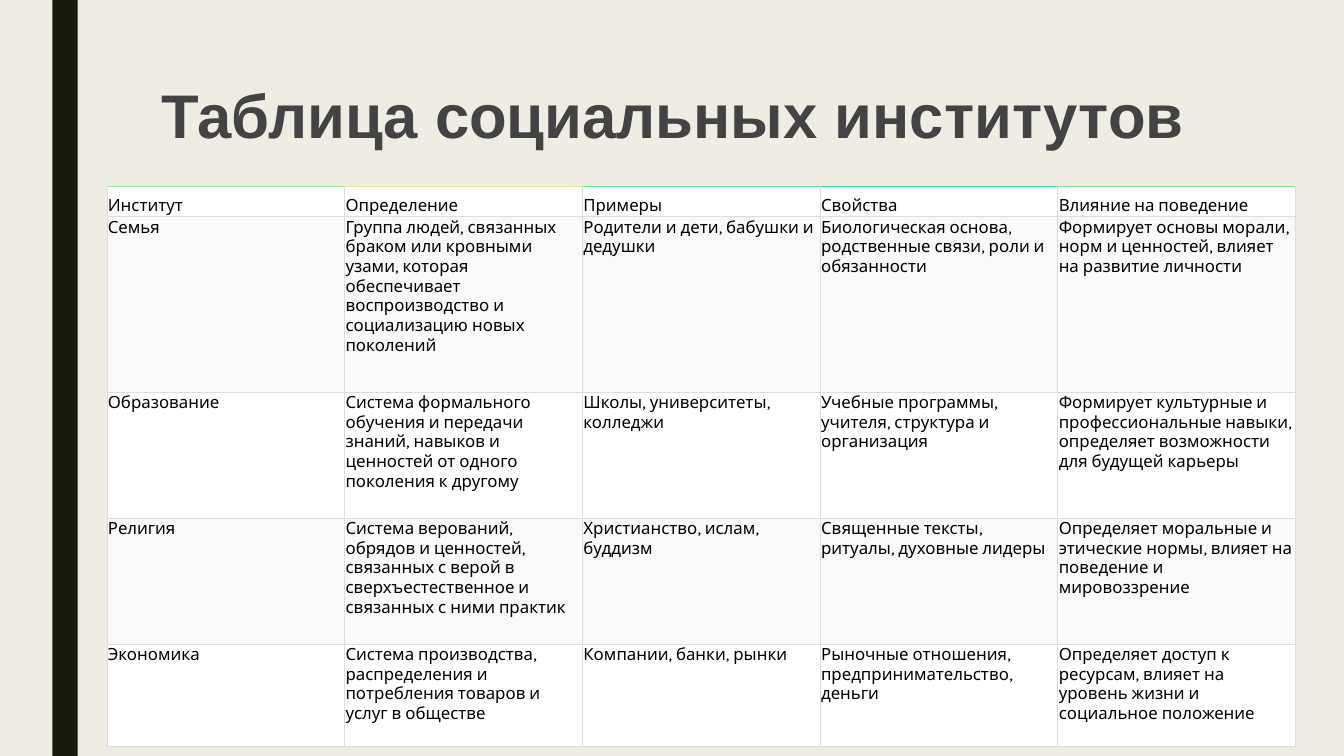
from lxml import etree
from pptx import Presentation
from pptx.dml.color import RGBColor
from pptx.enum.shapes import MSO_SHAPE
from pptx.enum.text import MSO_ANCHOR, MSO_AUTO_SIZE, PP_ALIGN
from pptx.oxml.ns import qn
from pptx.util import Inches, Pt

RECTANGLE = MSO_SHAPE.RECTANGLE
TOP, BOTTOM = MSO_ANCHOR.TOP, MSO_ANCHOR.BOTTOM
NO_AUTOFIT = MSO_AUTO_SIZE.NONE
LEFT = PP_ALIGN.LEFT
TITLE_ONLY_LAYOUT = 5

BACKGROUND, STRIPE, TITLE_COLOR = "EFEDE3", "191B0E", "434343"
TEXT_COLOR, GRID_COLOR = "000000", "DDDDDD"
ROW_FILLS = ("FFFFFF", "F9F9F9")
HEADER_TOP_COLORS = ("A0E29B", "E0E69B", "60E79B", "20E59B", "80E79B")

COLUMN_WIDTH = 11.79 / 5
ROW_HEIGHTS = (0.3, 1.74, 1.25, 1.25, 1.01)
CELL_MARGIN = 0.01

INSTITUTIONS = (
    ("Институт", "Определение", "Примеры", "Свойства", "Влияние на поведение"),
    ("Семья",
     "Группа людей, связанных браком или кровными узами, которая обеспечивает "
     "воспроизводство и социализацию новых поколений",
     "Родители и дети, бабушки и дедушки",
     "Биологическая основа, родственные связи, роли и обязанности",
     "Формирует основы морали, норм и ценностей, влияет на развитие личности"),
    ("Образование",
     "Система формального обучения и передачи знаний, навыков и ценностей "
     "от одного поколения к другому",
     "Школы, университеты, колледжи",
     "Учебные программы, учителя, структура и организация",
     "Формирует культурные и профессиональные навыки, определяет возможности "
     "для будущей карьеры"),
    ("Религия",
     "Система верований, обрядов и ценностей, связанных с верой "
     "в сверхъестественное и связанных с ними практик",
     "Христианство, ислам, буддизм",
     "Священные тексты, ритуалы, духовные лидеры",
     "Определяет моральные и этические нормы, влияет на поведение и мировоззрение"),
    ("Экономика",
     "Система производства, распределения и потребления товаров и услуг в обществе",
     "Компании, банки, рынки",
     "Рыночные отношения, предпринимательство, деньги",
     "Определяет доступ к ресурсам, влияет на уровень жизни и социальное положение"),
)


def set_fill(fill, color):
    fill.solid()
    fill.fore_color.rgb = RGBColor.from_string(color)


def set_font(font, name, size, color, bold=False):
    font.name = name
    font.size = Pt(size)
    font.bold = bold
    font.color.rgb = RGBColor.from_string(color)


def add_stripe(slide):
    stripe = slide.shapes.add_shape(
        RECTANGLE, Inches(0.52), 0, Inches(0.25), Inches(7.5))
    stripe.shadow.inherit = False
    set_fill(stripe.fill, STRIPE)
    stripe.line.fill.background()


def format_title(slide, text):
    title = slide.shapes.title
    title.left, title.top = Inches(1.5), Inches(0.75)
    title.width, title.height = Inches(10.5), Inches(1.62)
    frame = title.text_frame
    frame.text = text
    frame.word_wrap = True
    frame.auto_size = NO_AUTOFIT
    frame.vertical_anchor = TOP
    frame.margin_top = Inches(0.1)
    paragraph = frame.paragraphs[0]
    paragraph.alignment = LEFT
    paragraph.line_spacing = 0.89
    set_font(paragraph.font, "Arial", 44, TITLE_COLOR, bold=True)


def set_borders(cell, top_color):
    properties = cell._tc.get_or_add_tcPr()
    colors = (GRID_COLOR, GRID_COLOR, top_color, GRID_COLOR)
    # Borders come before the fill in the cell properties
    for index, (tag, color) in enumerate(zip(("lnL", "lnR", "lnT", "lnB"), colors)):
        line = etree.Element(qn(f"a:{tag}"), w=str(Pt(0.5)))
        solid = etree.SubElement(line, qn("a:solidFill"))
        etree.SubElement(solid, qn("a:srgbClr"), val=color)
        properties.insert(index, line)


def format_cell(cell, text, fill, anchor, top_color):
    cell.text = text
    cell.vertical_anchor = anchor
    cell.margin_left = cell.margin_right = Inches(CELL_MARGIN)
    cell.margin_top = cell.margin_bottom = Inches(CELL_MARGIN)
    set_fill(cell.fill, fill)
    set_borders(cell, top_color)
    set_font(cell.text_frame.paragraphs[0].font, "Karla", 12, TEXT_COLOR)


def add_institution_table(slide):
    row_count, column_count = len(INSTITUTIONS), len(INSTITUTIONS[0])
    table = slide.shapes.add_table(
        row_count, column_count, Inches(1.06), Inches(1.85),
        Inches(COLUMN_WIDTH * column_count), Inches(sum(ROW_HEIGHTS))).table
    for column in table.columns:
        column.width = Inches(COLUMN_WIDTH)
    for row_index, texts in enumerate(INSTITUTIONS):
        table.rows[row_index].height = Inches(ROW_HEIGHTS[row_index])
        is_header = row_index == 0
        for column_index, text in enumerate(texts):
            format_cell(
                table.cell(row_index, column_index), text,
                fill=ROW_FILLS[row_index % 2],
                anchor=BOTTOM if is_header else TOP,
                top_color=HEADER_TOP_COLORS[column_index] if is_header else GRID_COLOR)


def main():
    presentation = Presentation()
    presentation.slide_width = Inches(13.33)
    presentation.slide_height = Inches(7.5)
    slide = presentation.slides.add_slide(
        presentation.slide_layouts[TITLE_ONLY_LAYOUT])
    set_fill(slide.background.fill, BACKGROUND)

    # Side stripe, title and table
    add_stripe(slide)
    format_title(slide, "Таблица социальных институтов")
    add_institution_table(slide)
    presentation.save("out.pptx")


if __name__ == "__main__":
    main()
